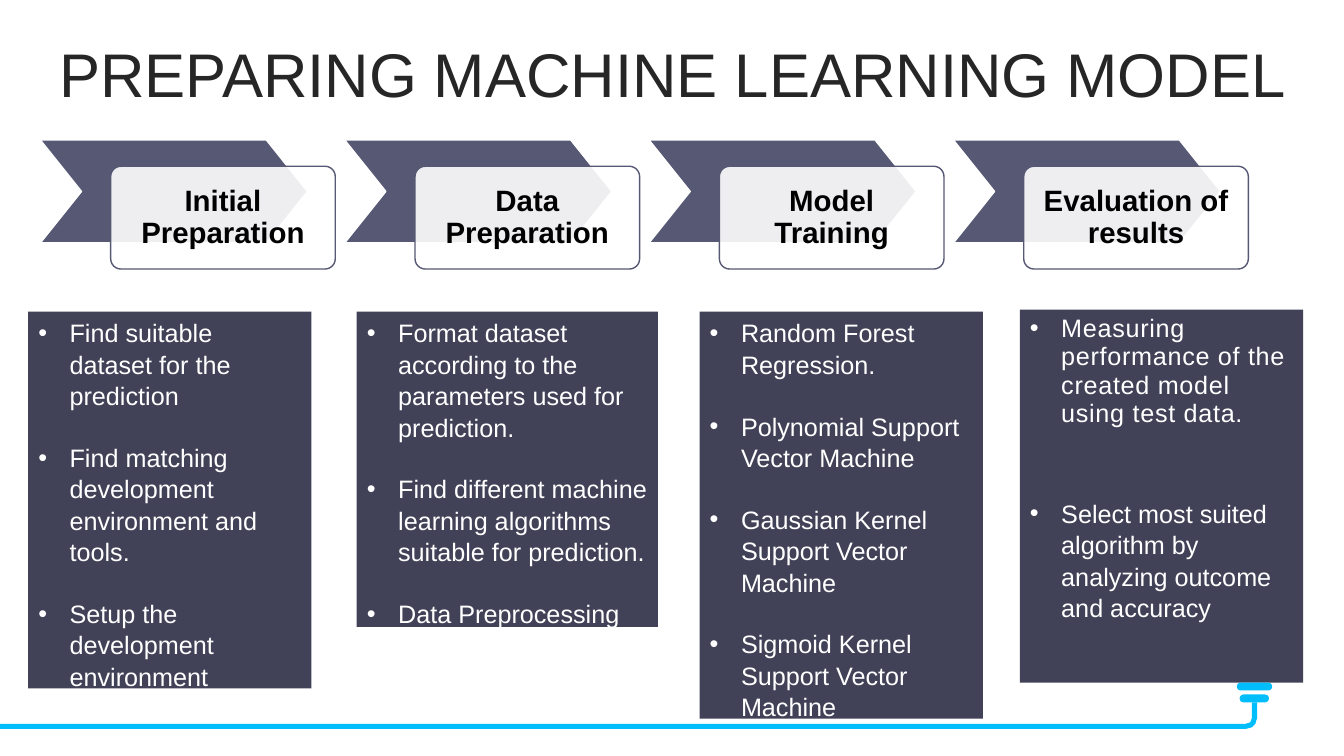
from typing import NamedTuple

from lxml.etree import SubElement
from pptx import Presentation
from pptx.dml.color import RGBColor
from pptx.enum.shapes import MSO_SHAPE
from pptx.enum.text import MSO_ANCHOR, MSO_AUTO_SIZE, PP_ALIGN
from pptx.oxml.ns import qn
from pptx.util import Cm, Pt

COLORS = {
    "cable": "00BDFB",
    "chevron": "565874",
    "panel": "414257",
    "title": "262626",
    "label": "000000",
    "white": "FFFFFF",
}
COMPARISON_LAYOUT = 4
STEP_LEFT, STEP_PITCH = 1.02, 7.67


class Area(NamedTuple):
    left: float
    top: float
    width: float
    height: float


class Stage(NamedTuple):
    label: str
    area: Area
    items: list[str]
    gap: float = 21.6
    first_spacing: float = 1.04
    first_tracking: int = 0


class Part(NamedTuple):
    kind: MSO_SHAPE
    area: Area
    adjustments: tuple[float, ...] = ()


STAGES = [
    Stage("Initial Preparation", Area(0.71, 7.85, 7.14, 9.5), [
        "Find suitable dataset for the prediction",
        "Find matching development environment and tools.",
        "Setup the development environment",
    ]),
    Stage("Data Preparation", Area(8.99, 7.85, 7.59, 7.95), [
        "Format dataset according to the parameters used for prediction.",
        "Find different machine learning algorithms suitable for prediction.",
        "Data Preprocessing",
    ]),
    Stage("Model Training", Area(17.63, 7.85, 7.14, 10.26), [
        "Random Forest Regression.",
        "Polynomial Support Vector Machine",
        "Gaussian Kernel Support Vector Machine",
        "Sigmoid Kernel Support Vector Machine",
    ]),
    Stage("Evaluation of results", Area(25.7, 7.8, 7.14, 9.4), [
        "Measuring performance of the created model using test data.",
        "Select most suited algorithm by analyzing outcome and accuracy",
    ], gap=49, first_spacing=0.94, first_tracking=50),
]

PLUG = [
    Part(MSO_SHAPE.ROUNDED_RECTANGLE, Area(31.17, 17.2, 0.89, 0.2), (0.5,)),
    Part(MSO_SHAPE.ROUNDED_RECTANGLE, Area(31.24, 17.5, 0.74, 0.2), (0.5,)),
    Part(MSO_SHAPE.RECTANGLE, Area(0, 18.24, 31.42, 0.13)),
    Part(MSO_SHAPE.RECTANGLE, Area(31.55, 17.7, 0.13, 0.43)),
    Part(MSO_SHAPE.BLOCK_ARC, Area(31.19, 17.88, 0.48, 0.48), (213.39, 60.92, 0.27)),
]


def color(name: str) -> RGBColor:
    return RGBColor.from_string(COLORS[name])


def place(box, area: Area) -> None:
    box.left, box.top, box.width, box.height = map(Cm, area)


def add_part(page, part: Part, fill: str, line: str | None = None):
    box = page.shapes.add_shape(part.kind, *map(Cm, part.area))
    box.shadow.inherit = False
    for index, value in enumerate(part.adjustments):
        box.adjustments[index] = value
    box.fill.solid()
    box.fill.fore_color.rgb = color(fill)
    if line:
        box.line.color.rgb = color(line)
        box.line.width = Pt(1)
    else:
        box.line.fill.background()
    return box


def format_para(para, size: float, name: str, bold: bool = False) -> None:
    for span in para.runs:
        span.font.name = "Arial"
        span.font.size = Pt(size)
        span.font.bold = bold
        span.font.color.rgb = color(name)


def set_heading(box, text: str, size: float, name: str, bold: bool = False) -> None:
    frame = box.text_frame
    frame.text = text
    frame.word_wrap = True
    frame.auto_size = MSO_AUTO_SIZE.NONE
    frame.vertical_anchor = MSO_ANCHOR.MIDDLE
    para = frame.paragraphs[0]
    para.alignment = PP_ALIGN.CENTER
    para.line_spacing = 0.9
    format_para(para, size, name, bold)


def add_bullet(para) -> None:
    properties = para._p.get_or_add_pPr()
    properties.set("marL", str(Cm(0.79)))
    properties.set("indent", str(Cm(-0.79)))
    SubElement(properties, qn("a:buFont"), typeface="Arial")
    SubElement(properties, qn("a:buChar"), char="•")


def fill_panel(box, stage: Stage) -> None:
    place(box, stage.area)
    box.fill.solid()
    box.fill.fore_color.rgb = color("panel")
    frame = box.text_frame
    frame.text = "\n".join(stage.items)
    frame.word_wrap = True
    frame.auto_size = MSO_AUTO_SIZE.NONE
    frame.vertical_anchor = MSO_ANCHOR.TOP
    for index, para in enumerate(frame.paragraphs):
        add_bullet(para)
        para.alignment = PP_ALIGN.LEFT
        para.space_before = Pt(stage.gap if index else 0)
        para.space_after = Pt(0)
        para.line_spacing = 1.04 if index else stage.first_spacing
        format_para(para, 18, "white")
    if stage.first_tracking:
        span = frame.paragraphs[0].runs[0]
        span._r.get_or_add_rPr().set("spc", str(stage.first_tracking))


def add_step(page, left: float, label: str) -> None:
    chevron = Part(MSO_SHAPE.CHEVRON, Area(left, 3.53, 6.73, 2.59), (0.4,))
    add_part(page, chevron, "chevron", "white")
    card = Part(MSO_SHAPE.ROUNDED_RECTANGLE, Area(left + 1.77, 4.19, 5.66, 2.59), (0.1,))
    box = add_part(page, card, "white", "chevron")
    tint = box.fill._xPr.find(qn("a:solidFill"))[0]
    SubElement(tint, qn("a:alpha"), val="90000")
    box.text_frame.margin_left = box.text_frame.margin_right = Cm(0.33)
    set_heading(box, label, 21, "label", bold=True)


def main() -> None:
    deck = Presentation()
    deck.slide_width, deck.slide_height = Cm(33.87), Cm(19.05)
    page = deck.slides.add_slide(deck.slide_layouts[COMPARISON_LAYOUT])
    for part in PLUG:
        add_part(page, part, "cable")
    title, *panels = page.placeholders
    place(title, Area(0.89, 0.94, 32.16, 2.01))
    set_heading(title, "PREPARING MACHINE LEARNING MODEL", 44, "title")
    for index, (panel, stage) in enumerate(zip(panels, STAGES)):
        add_step(page, STEP_LEFT + index * STEP_PITCH, stage.label)
        fill_panel(panel, stage)
    deck.save("out.pptx")


if __name__ == "__main__":
    main()
